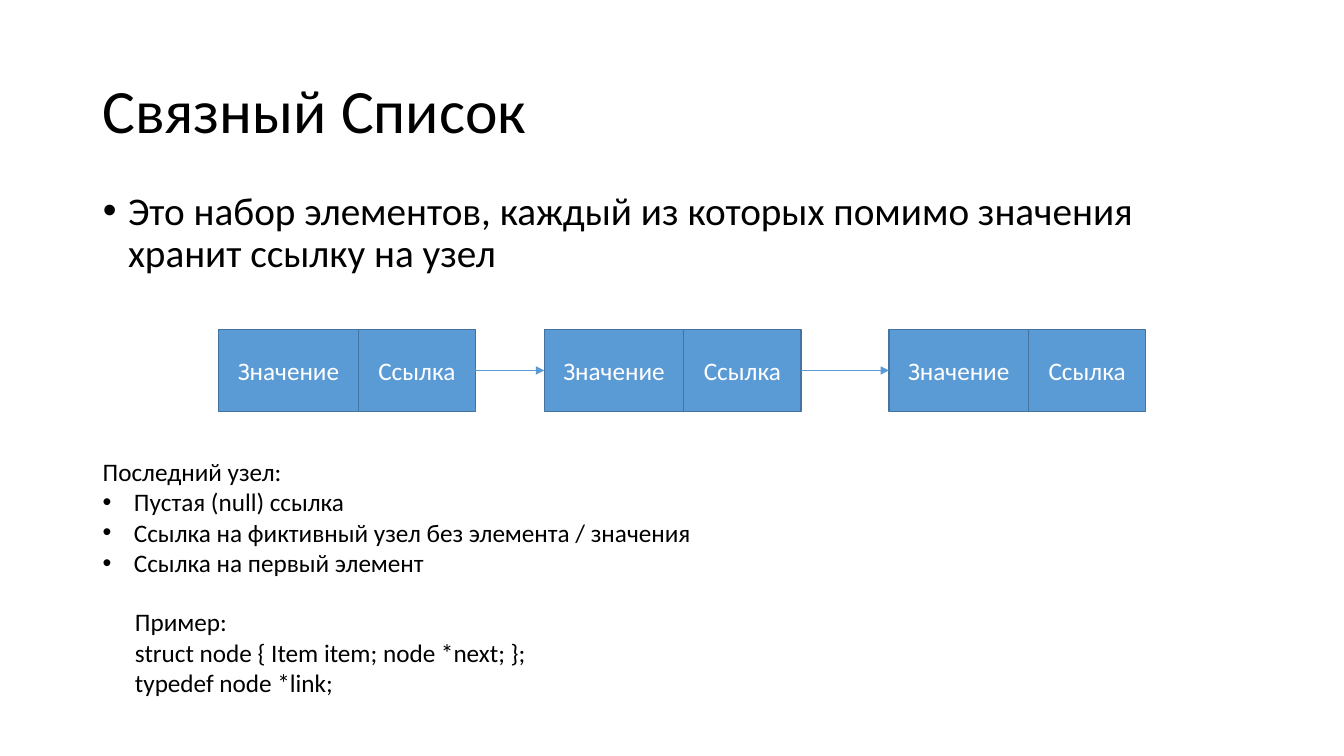
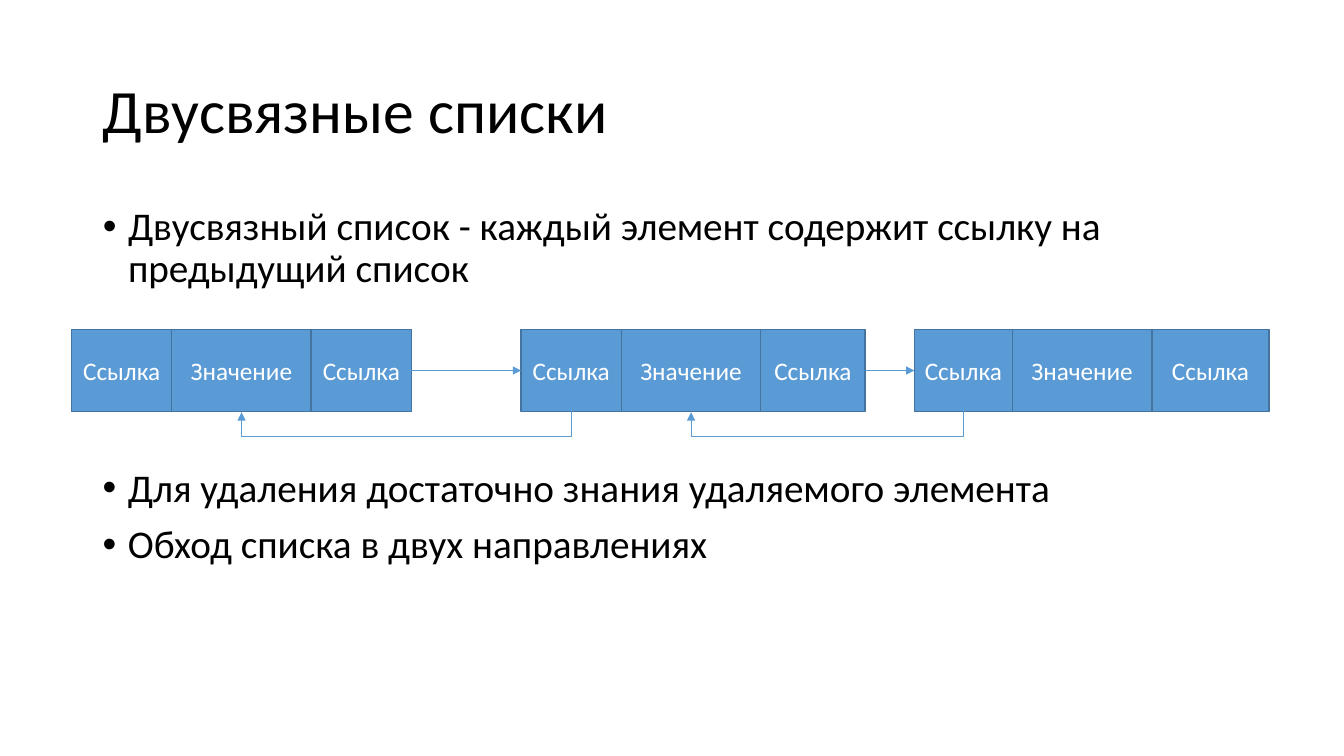
from itertools import pairwise

from lxml.etree import SubElement
from pptx import Presentation
from pptx.dml.color import RGBColor
from pptx.enum.shapes import MSO_CONNECTOR, MSO_SHAPE
from pptx.enum.text import MSO_ANCHOR, MSO_AUTO_SIZE, PP_ALIGN
from pptx.oxml.ns import qn
from pptx.util import Inches, Pt

COLORS = {"text": "000000", "cell": "5B9BD5", "border": "43739E", "cell_text": "FFFFFF"}
FONT = "Calibri"
BOTTOM, LEFT, RIGHT = 2, 1, 3  # connection sites of a rectangle

# Positions and sizes are percentages of the slide's width and height
MARGIN, CONTENT_WIDTH = 6.9, 86.25
TITLE_TOP, TITLE_HEIGHT = 5.33, 19.33
NODE_TOP, NODE_HEIGHT = 43.6, 10.8
VALUE, LINK = "Значение", "Ссылка"
VALUE_WIDTH, WIDE_LINK, NARROW_LINK = 10.38, 8.72, 7.45


def color(name):
    return RGBColor.from_string(COLORS[name])


class SlideBuilder:
    def __init__(self):
        self.deck = Presentation()
        self.deck.slide_width = Inches(13.33)
        self.deck.slide_height = Inches(7.5)
        self.page = None

    def across(self, share):
        return round(self.deck.slide_width * share / 100)

    def down(self, share):
        return round(self.deck.slide_height * share / 100)

    def frame(self, left, top, width, height):
        return self.across(left), self.down(top), self.across(width), self.down(height)

    def add_page(self, title):
        self.page = self.deck.slides.add_slide(self.deck.slide_layouts[1])
        box = self.page.shapes.title
        self.place(box, MARGIN, TITLE_TOP, CONTENT_WIDTH, TITLE_HEIGHT)
        self.set_text(box, [title], 44, anchor=MSO_ANCHOR.MIDDLE, line_spacing=0.9)

    def place(self, box, *shares):
        box.left, box.top, box.width, box.height = self.frame(*shares)

    def set_text(self, box, lines, size, ink="text", anchor=MSO_ANCHOR.TOP,
                 align=PP_ALIGN.LEFT, line_spacing=1.0, before=0, indent=0, plain=0):
        """Fill a box; lines after the first `plain` ones get bullets if indented."""
        text = box.text_frame
        text.word_wrap = True
        text.auto_size = MSO_AUTO_SIZE.NONE
        text.vertical_anchor = anchor
        for number, line in enumerate(lines):
            para = text.add_paragraph() if number else text.paragraphs[0]
            para.text = line
            para.alignment = align
            para.line_spacing = line_spacing
            para.space_before = Pt(before)
            if indent and number >= plain:
                self.bullet(para, indent)
            para.font.size = Pt(size)
            para.font.name = FONT
            para.font.color.rgb = color(ink)

    def bullet(self, para, indent):
        properties = para._p.get_or_add_pPr()
        properties.set("marL", str(Inches(indent)))
        properties.set("indent", str(-Inches(indent)))
        SubElement(properties, qn("a:buFont"), typeface="Arial")
        SubElement(properties, qn("a:buChar"), char="•")

    def large_list(self, box, lines):
        self.set_text(box, lines, 28, line_spacing=0.9, before=10, indent=0.25)

    def body(self, lines, top, height):
        box = self.page.placeholders[1]
        self.place(box, MARGIN, top, CONTENT_WIDTH, height)
        self.large_list(box, lines)

    def text_box(self, *shares):
        return self.page.shapes.add_textbox(*self.frame(*shares))

    def node(self, left, cells):
        """Draw touching cells from (label, width) pairs and return them."""
        boxes = []
        for label, width in cells:
            box = self.page.shapes.add_shape(
                MSO_SHAPE.RECTANGLE, *self.frame(left, NODE_TOP, width, NODE_HEIGHT))
            box.shadow.inherit = False
            box.fill.solid()
            box.fill.fore_color.rgb = color("cell")
            box.line.color.rgb = color("border")
            box.line.width = Pt(1)
            box.text_frame.margin_left = box.text_frame.margin_right = Inches(0.05)
            self.set_text(box, [label], 18, "cell_text", MSO_ANCHOR.MIDDLE, PP_ALIGN.CENTER)
            boxes.append(box)
            left += width
        return boxes

    def arrow(self, start, start_site, end, end_site):
        connector = self.page.shapes.add_connector(MSO_CONNECTOR.ELBOW, 0, 0, 0, 0)
        connector.begin_connect(start, start_site)
        connector.end_connect(end, end_site)
        connector.line.color.rgb = color("cell")
        connector.line.width = Pt(0.5)
        properties = connector._element.spPr
        SubElement(properties.find(qn("a:ln")), qn("a:tailEnd"), type="triangle")
        SubElement(properties, qn("a:effectLst"))
        return connector

    def next_arrow(self, node, following):
        self.arrow(node[-1], RIGHT, following[0], LEFT)

    def back_arrow(self, link, value, drop=0.25):
        """Run below the nodes: an elbow turned by 90 degrees."""
        connector = self.arrow(link, BOTTOM, value, BOTTOM)
        span = connector.width
        middle = connector.left + span // 2
        bottom = link.top + link.height
        depth = Inches(0.01)
        connector.left, connector.top = middle - depth // 2, bottom + depth // 2 - span // 2
        connector.width, connector.height = depth, span
        properties = connector._element.spPr
        turn = properties.find(qn("a:xfrm"))
        turn.attrib.pop("flipH", None)
        turn.attrib.pop("flipV", None)
        turn.set("rot", str(90 * 60000))
        guides = properties.find(qn("a:prstGeom")).get_or_add_avLst()
        SubElement(guides, qn("a:gd"), name="adj1",
                   fmla=f"val {round(Inches(drop) / depth * 100000)}")


slides = SlideBuilder()

# Singly linked list
slides.add_page("Связный Список")
slides.body(["Это набор элементов, каждый из которых помимо значения хранит ссылку на узел"],
            24.67, 15.87)
nodes = [slides.node(left, [(VALUE, VALUE_WIDTH), (LINK, WIDE_LINK)])
         for left in (16.28, 40.5, 66.15)]
for node, following in pairwise(nodes):
    slides.next_arrow(node, following)

last_node = slides.text_box(MARGIN, 59.73, CONTENT_WIDTH, 17.47)
slides.set_text(last_node, [
    "Последний узел:",
    "Пустая (null) ссылка",
    "Ссылка на фиктивный узел без элемента / значения",
    "Ссылка на первый элемент",
], 18, indent=0.31, plain=1)
example = slides.text_box(9.3, 79.6, 39.45, 13.47)
slides.set_text(example, [
    "Пример:",
    "struct node { Item item; node *next; };",
    "typedef node *link;",
], 18)

# Doubly linked list
slides.add_page("Двусвязные списки")
slides.body(["Двусвязный список - каждый элемент содержит ссылку на предыдущий список"],
            26.67, 15.6)
nodes = [slides.node(left, [(LINK, previous), (VALUE, VALUE_WIDTH), (LINK, following)])
         for left, previous, following in (
             (5.33, NARROW_LINK, NARROW_LINK),
             (38.78, NARROW_LINK, 7.75),
             (68.03, 7.3, WIDE_LINK))]
for node, following in pairwise(nodes):
    slides.next_arrow(node, following)
    slides.back_arrow(following[0], node[1])

benefits = slides.text_box(MARGIN, 61.33, CONTENT_WIDTH, 15.6)
slides.large_list(benefits, [
    "Для удаления достаточно знания удаляемого элемента",
    "Обход списка в двух направлениях",
])

slides.deck.save("out.pptx")
